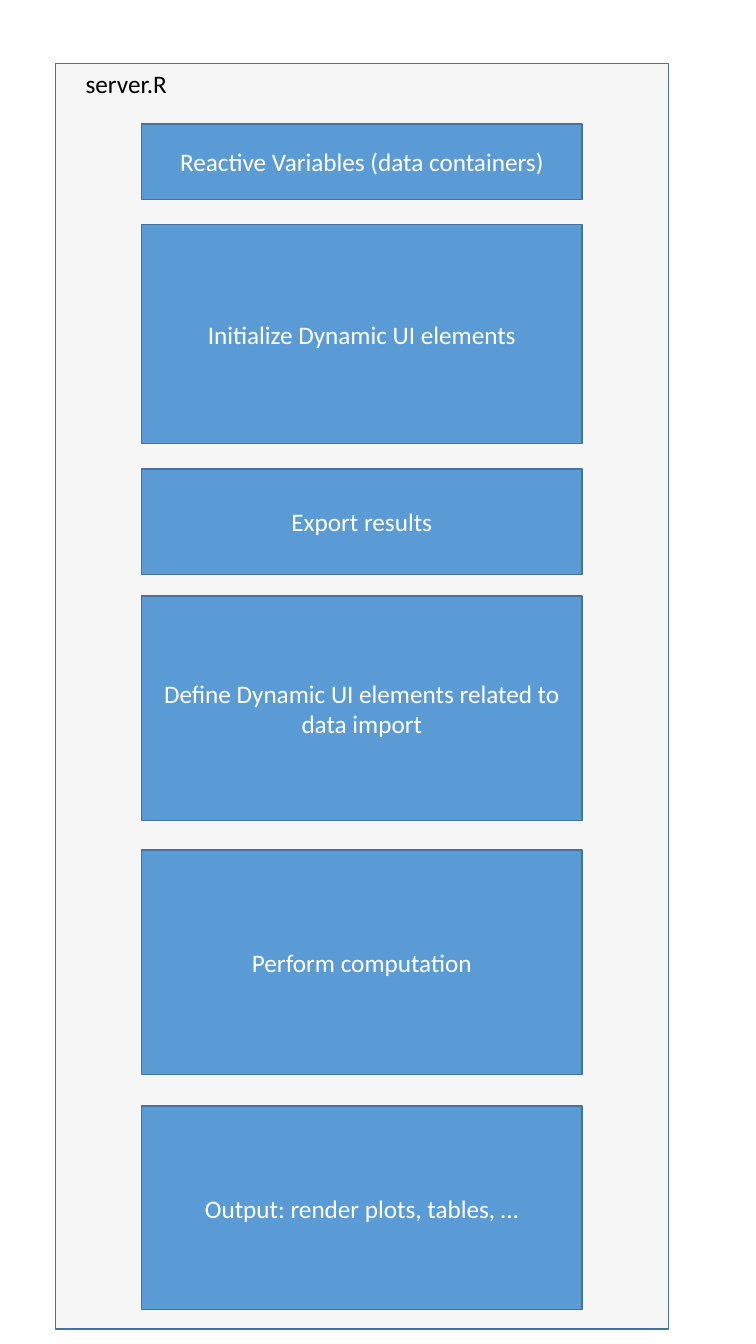
"""Builds a tall slide that stacks the sections of a server.R file."""
from lxml import etree
from pptx import Presentation
from pptx.dml.color import RGBColor
from pptx.enum.shapes import MSO_SHAPE
from pptx.enum.text import MSO_ANCHOR, MSO_AUTO_SIZE, PP_ALIGN
from pptx.oxml.ns import qn
from pptx.util import Inches, Pt

RECTANGLE = MSO_SHAPE.RECTANGLE
MIDDLE = MSO_ANCHOR.MIDDLE
CENTER = PP_ALIGN.CENTER
FIT_SHAPE = MSO_AUTO_SIZE.SHAPE_TO_FIT_TEXT

BLUE = RGBColor(0x5B, 0x9B, 0xD5)
EDGE = RGBColor(0x43, 0x73, 0x9E)
PALE = RGBColor(0xF2, 0xF2, 0xF2)
WHITE = RGBColor(0xFF, 0xFF, 0xFF)
BLACK = RGBColor(0x00, 0x00, 0x00)

SLIDE_WIDTH, SLIDE_HEIGHT = 7.5, 13.33
FILE_NAME = "server.R"
FILE_FRAME = (0.55, 0.63, 6.08, 12.55)
FILE_OPACITY = 68
TITLE_INDENT, TITLE_WIDTH, TITLE_HEIGHT = 0.2, 1.02, 0.4
SECTION_WIDTH = 4.37
FIRST_SECTION_OFFSET = 0.6

# Each section: label, height, gap below
SECTIONS = [
    ("Reactive Variables (data containers)", 0.75, 0.25),
    ("Initialize Dynamic UI elements", 2.17, 0.25),
    ("Export results", 1.05, 0.21),
    ("Define Dynamic UI elements related to data import", 2.23, 0.29),
    ("Perform computation", 2.23, 0.31),
    ("Output: render plots, tables, …", 2.02, 0.19),
]


def add_box(slide, left, top, width, height, color):
    box = slide.shapes.add_shape(
        RECTANGLE, Inches(left), Inches(top), Inches(width), Inches(height))
    box.shadow.inherit = False
    box.fill.solid()
    box.fill.fore_color.rgb = color
    box.line.color.rgb = EDGE
    box.line.width = Pt(1)
    return box


def write(paragraph, text, color):
    run = paragraph.add_run()
    run.text = text
    run.font.name = "Calibri"
    run.font.size = Pt(18)
    run.font.color.rgb = color


def main():
    deck = Presentation()
    deck.slide_width, deck.slide_height = Inches(SLIDE_WIDTH), Inches(SLIDE_HEIGHT)
    slide = deck.slides.add_slide(deck.slide_layouts[6])

    left, top, width, _ = FILE_FRAME
    server_file = add_box(slide, *FILE_FRAME, PALE)
    fill_color = server_file.fill._xPr.find(qn("a:solidFill"))[0]
    etree.SubElement(fill_color, qn("a:alpha"), val=str(FILE_OPACITY * 1000))

    section_left = left + (width - SECTION_WIDTH) / 2
    section_top = top + FIRST_SECTION_OFFSET
    for label, height, gap in SECTIONS:
        section = add_box(slide, section_left, section_top, SECTION_WIDTH, height, BLUE)
        section.text_frame.word_wrap = True
        section.text_frame.vertical_anchor = MIDDLE
        paragraph = section.text_frame.paragraphs[0]
        paragraph.alignment = CENTER
        write(paragraph, label, WHITE)
        section_top += height + gap

    title = slide.shapes.add_textbox(
        Inches(left + TITLE_INDENT), Inches(top), Inches(TITLE_WIDTH), Inches(TITLE_HEIGHT))
    title.text_frame.word_wrap = False
    title.text_frame.auto_size = FIT_SHAPE
    write(title.text_frame.paragraphs[0], FILE_NAME, BLACK)

    deck.save("out.pptx")


if __name__ == "__main__":
    main()
